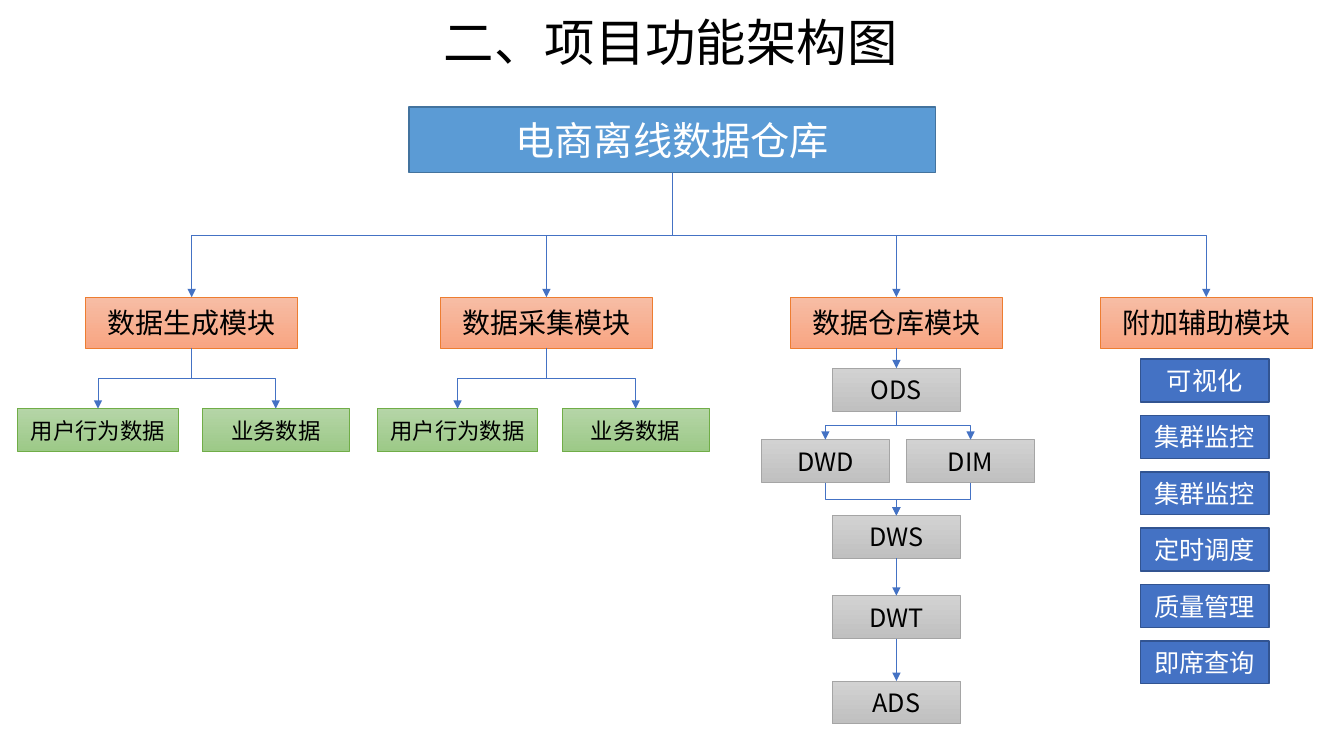
from dataclasses import dataclass

from lxml import etree
from pptx import Presentation
from pptx import util as u
from pptx.dml.color import RGBColor
from pptx.enum import shapes, text
from pptx.oxml.ns import qn


@dataclass(frozen=True)
class Kind:
    """Look of one kind of box; two fill colours make a gradient."""
    fill: tuple
    edge: str
    weight: float
    ink: str
    size: int


class Theme:
    font = "Noto Sans CJK SC"
    ink = "000000"
    title = 36
    wire = "4472C4"
    thin = 0.5
    root = Kind(("5B9BD5",), "43739E", 1, "FFFFFF", 28)
    module = Kind(("F7BDA5", "F8A582"), "ED7D31", thin, ink, 20)
    source = Kind(("B5D5A7", "9CC987"), "70AD47", thin, ink, 16)
    layer = Kind(("D2D2D2", "C0C0C0"), "A5A5A5", thin, ink, 18)
    helper = Kind(("4472C4",), "325491", 1, "FFFFFF", 18)


class Chart:
    def __init__(self, theme, slide):
        self.theme, self.slide = theme, slide

    def label(self, frame, words, size, ink):
        frame.vertical_anchor = text.MSO_ANCHOR.MIDDLE
        line = frame.paragraphs[0]
        line.text = words
        line.alignment = text.PP_ALIGN.CENTER
        line.font.size = u.Pt(size)
        line.font.color.rgb = RGBColor.from_string(ink)
        line.font.name = self.theme.font
        props = line._p.find(".//" + qn("a:defRPr"))
        etree.SubElement(props, qn("a:ea")).set("typeface", self.theme.font)

    def title(self, words, left, top, width, height):
        box = self.slide.shapes.add_textbox(
            u.Cm(left), u.Cm(top), u.Cm(width), u.Cm(height))
        box.text_frame.word_wrap = False
        self.label(box.text_frame, words, self.theme.title, self.theme.ink)

    def box(self, words, kind, mid, top, width, height):
        """Add a rectangle centred on the horizontal position mid."""
        rect = self.slide.shapes.add_shape(
            shapes.MSO_SHAPE.RECTANGLE,
            u.Cm(mid - width / 2), u.Cm(top), u.Cm(width), u.Cm(height))
        rect.shadow.inherit = False
        colors = [RGBColor.from_string(code) for code in kind.fill]
        if len(colors) == 1:
            rect.fill.solid()
            rect.fill.fore_color.rgb = colors[0]
        else:
            rect.fill.gradient()
            rect.fill.gradient_angle = 270
            for stop, color in zip(rect.fill.gradient_stops, colors):
                stop.color.rgb = color
        rect.line.color.rgb = RGBColor.from_string(kind.edge)
        rect.line.width = u.Pt(kind.weight)
        self.label(rect.text_frame, words, kind.size, kind.ink)
        return rect

    def arrow(self, start, end):
        """Join the bottom of start to the top of end, bent if they are offset."""
        x1, y1 = start.left + start.width // 2, start.top + start.height
        x2, y2 = end.left + end.width // 2, end.top
        bent = abs(x2 - x1) > u.Cm(0.05)
        form = shapes.MSO_CONNECTOR.ELBOW if bent else shapes.MSO_CONNECTOR.STRAIGHT
        wire = self.slide.shapes.add_connector(form, x1, y1, x2, y2)
        wire.begin_connect(start, 2)
        wire.end_connect(end, 0)
        if bent:
            self.turn(wire, x1, y1, x2, y2)
        wire.line.color.rgb = RGBColor.from_string(self.theme.wire)
        wire.line.width = u.Pt(self.theme.thin)
        edge = wire.element.spPr.find(qn("a:ln"))
        etree.SubElement(edge, qn("a:tailEnd")).set("type", "triangle")
        etree.SubElement(wire.element.spPr, qn("a:effectLst"))

    def turn(self, wire, x1, y1, x2, y2):
        """Rotate an elbow so that it leaves and arrives vertically."""
        wide, high = abs(x2 - x1), y2 - y1
        wire.left = (x1 + x2 - high) // 2
        wire.top = (y1 + y2 - wide) // 2
        wire.width, wire.height = high, wide
        frame = wire.element.spPr.find(qn("a:xfrm"))
        right = x2 > x1
        frame.set("rot", "16200000" if right else "5400000")
        frame.set("flipH", "1" if right else "0")
        frame.set("flipV", "0")


def main():
    deck = Presentation()
    deck.slide_width, deck.slide_height = u.Cm(33.87), u.Cm(19.05)
    theme = Theme()
    chart = Chart(theme, deck.slides.add_slide(deck.slide_layouts[6]))
    high = 1.08

    chart.title("二、项目功能架构图", 10.87, 0.15, 12.07, 1.8)
    root = chart.box("电商离线数据仓库", theme.root, 16.94, 2.7, 13.26, 1.65)

    modules = [chart.box(name, theme.module, mid, 7.49, 5.34, 1.28)
               for name, mid in (("数据生成模块", 4.83), ("数据采集模块", 13.77),
                                 ("数据仓库模块", 22.59), ("附加辅助模块", 30.4))]
    for module in modules:
        chart.arrow(root, module)

    for module, *mids in ((modules[0], 2.47, 6.95), (modules[1], 11.53, 16.02)):
        for name, mid, wide in zip(("用户行为数据", "业务数据"), mids, (4.04, 3.7)):
            chart.arrow(module, chart.box(name, theme.source, mid, 10.3, wide, high))

    wide = 3.24
    layers = {name: chart.box(name, theme.layer, mid, top, wide, high)
              for name, mid, top in (
                  ("ODS", 22.59, 9.28), ("DWD", 20.8, 11.08), ("DIM", 24.46, 11.08),
                  ("DWS", 22.59, 12.99), ("DWT", 22.59, 15.01), ("ADS", 22.59, 17.16))}
    chart.arrow(modules[2], layers["ODS"])
    for start, end in (("ODS", "DWD"), ("ODS", "DIM"), ("DWD", "DWS"),
                       ("DIM", "DWS"), ("DWS", "DWT"), ("DWT", "ADS")):
        chart.arrow(layers[start], layers[end])

    helpers = "可视化", "集群监控", "集群监控", "定时调度", "质量管理", "即席查询"
    for row, name in enumerate(helpers):
        chart.box(name, theme.helper, 30.36, 9.05 + 1.42 * row, wide, high)

    deck.save("out.pptx")


if __name__ == "__main__":
    main()
